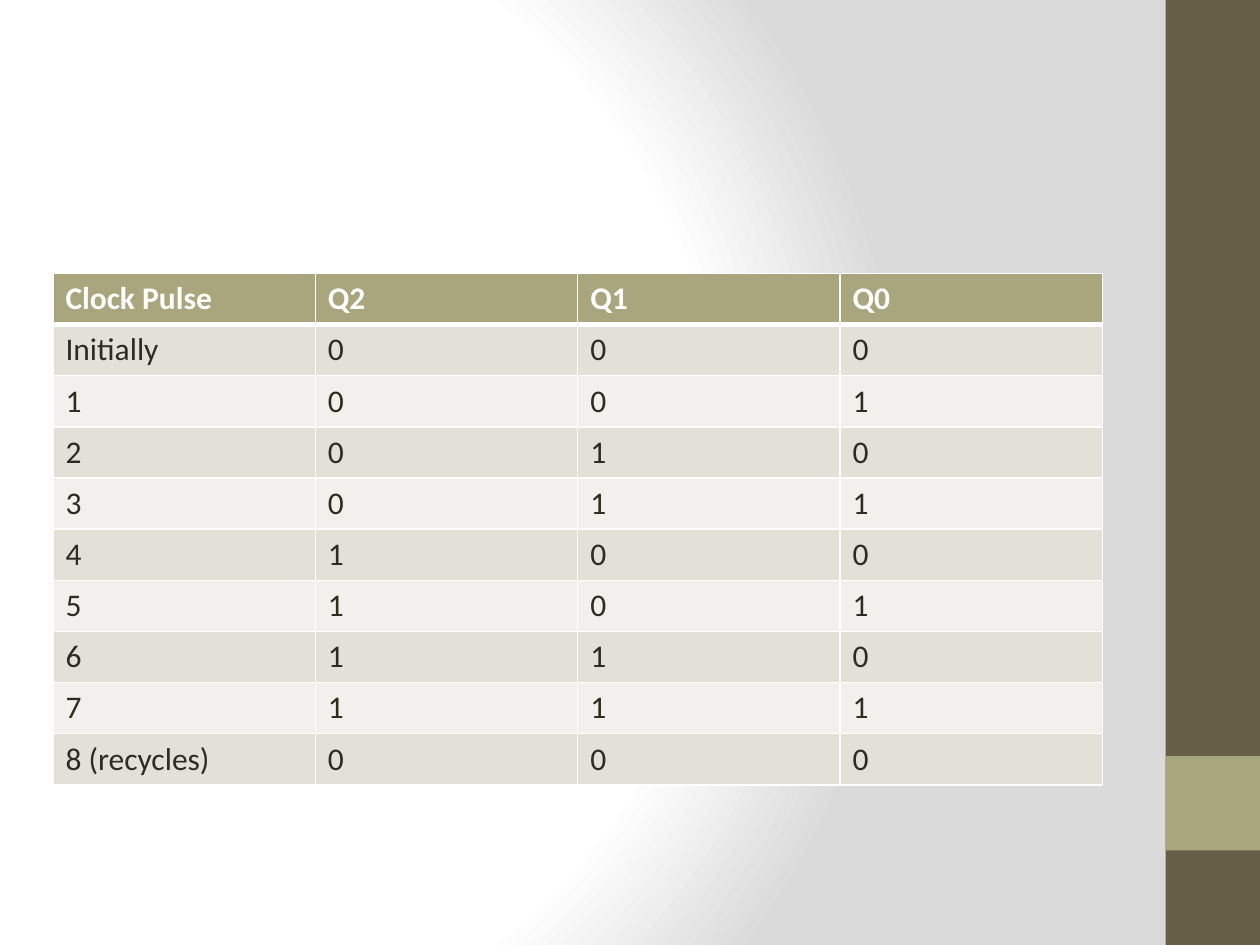
"""Build a slide with the state table of a three-bit binary counter."""
from pptx import Presentation
from pptx.dml.color import RGBColor as RGB
from pptx.enum.shapes import MSO_SHAPE as Shape
from pptx.oxml import parse_xml
from pptx.oxml.ns import nsdecls
from pptx.util import Inches, Pt

COLORS = {
    "white": "FFFFFF", "grey": "DADADA", "brown": "675E47", "olive": "A9A57C",
    "text": "2F2B20", "band_dark": "E2E1D7", "band_light": "F1F0EC",
}
HEADER = ["Clock Pulse", "Q2", "Q1", "Q0"]
PULSES = ["Initially", "1", "2", "3", "4", "5", "6", "7", "8 (recycles)"]
SIDEBAR = [(0, 7.5, "brown"), (6, 0.75, "olive")]
GRADIENT = [(0, "white"), (75, "white"), (100, "grey")]
SIDEBAR_LEFT, SIDEBAR_WIDTH = 9.25, 0.75
TABLE_LEFT, TABLE_TOP = 0.42, 2.17
TABLE_WIDTH, TABLE_HEIGHT = 8.33, 4.06


def color(name):
    return RGB.from_string(COLORS[name])


def set_background(s):
    stops = "".join(
        f'<a:gs pos="{pos * 1000}"><a:srgbClr val="{COLORS[name]}"/></a:gs>'
        for pos, name in GRADIENT)
    s.element.cSld.insert(0, parse_xml(
        f'<p:bg {nsdecls("p", "a")}><p:bgPr><a:gradFill rotWithShape="1">'
        f'<a:gsLst>{stops}</a:gsLst><a:path path="circle">'
        '<a:fillToRect l="20000" t="50000" r="100000" b="50000"/></a:path>'
        '</a:gradFill><a:effectLst/></p:bgPr></p:bg>'))


def add_block(s, top, height, fill):
    sp = s.shapes.add_shape(Shape.RECTANGLE, Inches(SIDEBAR_LEFT), Inches(top),
                            Inches(SIDEBAR_WIDTH), Inches(height))
    sp.shadow.inherit = False
    sp.fill.solid()
    sp.fill.fore_color.rgb = color(fill)
    sp.line.fill.background()


def write(tf, text, size=18, name="text", bold=False, font="Calibri"):
    r = tf.paragraphs[0].add_run()
    r.text = text
    r.font.size, r.font.bold, r.font.name = Pt(size), bold, font
    r.font.color.rgb = color(name)


def set_borders(cell, top=1, bottom=1):
    widths = {"lnL": 1, "lnR": 1, "lnT": top, "lnB": bottom}
    tc_pr = cell._tc.get_or_add_tcPr()
    for i, (tag, width) in enumerate(widths.items()):
        tc_pr.insert(i, parse_xml(
            f'<a:{tag} {nsdecls("a")} w="{Pt(width)}"><a:solidFill>'
            f'<a:srgbClr val="{COLORS["white"]}"/></a:solidFill></a:{tag}>'))


def add_state_table(s):
    states = [[pulse, *f"{i % 8:03b}"] for i, pulse in enumerate(PULSES)]
    rows = [HEADER, *states]
    table = s.shapes.add_table(
        len(rows), len(HEADER), Inches(TABLE_LEFT), Inches(TABLE_TOP),
        Inches(TABLE_WIDTH), Inches(TABLE_HEIGHT)).table
    for i, row in enumerate(rows):
        head = i == 0
        fill = "olive" if head else "band_dark" if i % 2 else "band_light"
        for j, text in enumerate(row):
            cell = table.cell(i, j)
            cell.fill.solid()
            cell.fill.fore_color.rgb = color(fill)
            set_borders(cell, top=3 if i == 1 else 1, bottom=3 if head else 1)
            write(cell.text_frame, text, name="white" if head else "text", bold=head)


def main():
    prs = Presentation()
    prs.slide_width, prs.slide_height = Inches(10), Inches(7.5)
    s = prs.slides.add_slide(prs.slide_layouts[6])
    set_background(s)
    for top, height, fill in SIDEBAR:
        add_block(s, top, height, fill)
    add_state_table(s)
    prs.save("out.pptx")


if __name__ == "__main__":
    main()
